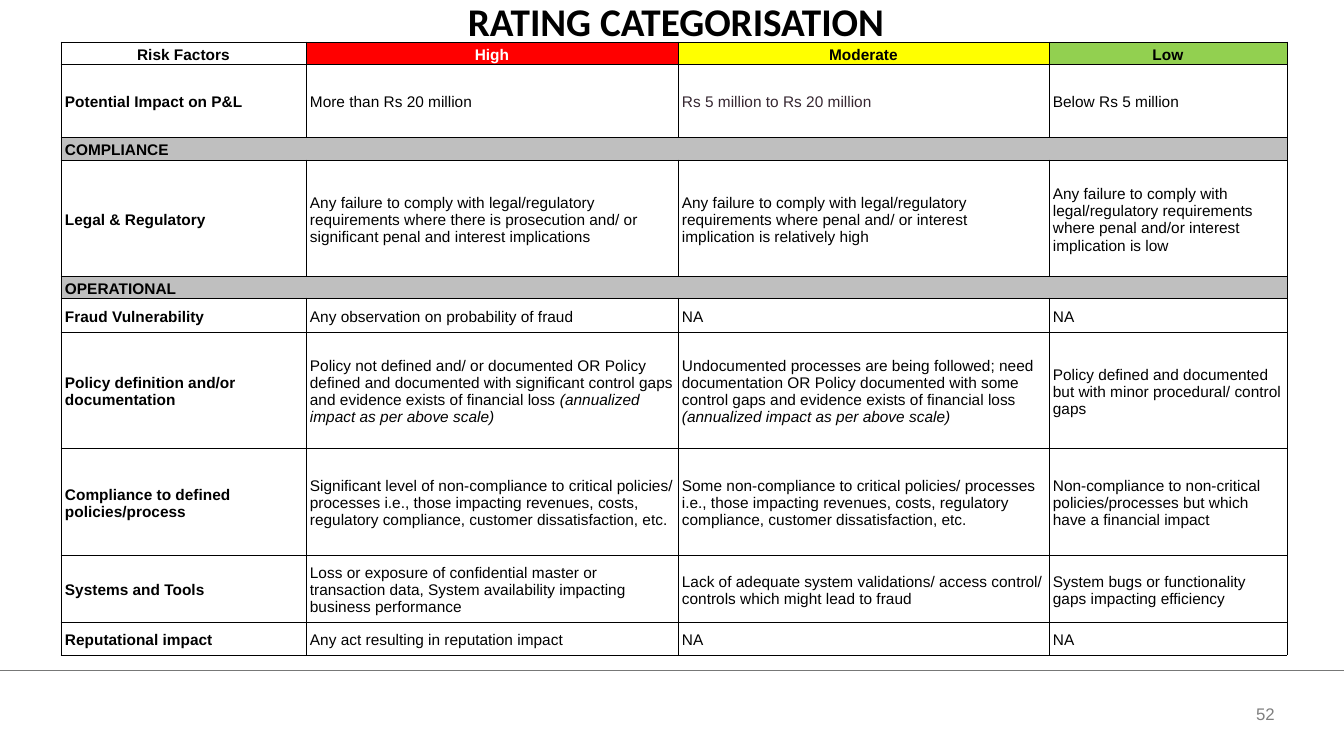
import pptx
import pptx.dml.color
import pptx.enum.shapes
import pptx.enum.text
import pptx.oxml
import pptx.oxml.ns
import pptx.util
from dataclasses import dataclass


@dataclass(frozen=True)
class Theme:
    """Colours, fonts and type sizes of the slide."""
    black: str = "000000"
    white: str = "FFFFFF"
    high: str = "FF0000"
    moderate: str = "FFFF00"
    low: str = "92D050"
    section: str = "BFBFBF"
    plum: str = "362731"
    rule: str = "777877"
    page: str = "808080"
    heading_font: str = "Calibri"
    body_font: str = "Arial"
    heading_size: int = 28
    table_size: int = 11
    page_size: int = 12
    line_width: float = 0.5


THEME = Theme()
ALIGN = pptx.enum.text.PP_ALIGN
MIDDLE = pptx.enum.text.MSO_ANCHOR.MIDDLE
SCALE = 914400 / 100.8
COLUMN_WIDTHS = [245, 372, 371, 238]
ROW_HEIGHTS = [22, 73, 23, 116, 22, 34, 116, 107, 67, 33]
HEADER_COLOURS = [(THEME.white, THEME.black), (THEME.high, THEME.white),
                  (THEME.moderate, THEME.black), (THEME.low, THEME.black)]
SCALE_NOTE = "(annualized impact as per above scale)"
RATINGS = [
    ["Risk Factors", "High", "Moderate", "Low"],
    ["Potential Impact on P&L", "More than Rs 20 million",
     "Rs 5 million to Rs 20 million", "Below Rs 5 million"],
    ["COMPLIANCE"],
    ["Legal & Regulatory",
     "Any failure to comply with legal/regulatory requirements where there is "
     "prosecution and/ or significant penal and interest implications",
     "Any failure to comply with legal/regulatory requirements where penal and/ or "
     "interest implication is relatively high",
     "Any failure to comply with legal/regulatory requirements where penal and/or "
     "interest implication is low"],
    ["OPERATIONAL"],
    ["Fraud Vulnerability", "Any observation on probability of fraud", "NA", "NA"],
    ["Policy definition and/or documentation",
     "Policy not defined and/ or documented OR Policy defined and documented with "
     "significant control gaps and evidence exists of financial loss " + SCALE_NOTE,
     "Undocumented processes are being followed; need documentation OR Policy "
     "documented with some control gaps and evidence exists of financial loss "
     + SCALE_NOTE,
     "Policy defined and documented but with minor procedural/ control gaps"],
    ["Compliance to defined policies/process",
     "Significant level of non-compliance to critical policies/ processes i.e., those "
     "impacting revenues, costs, regulatory compliance, customer dissatisfaction, etc.",
     "Some non-compliance to critical policies/ processes i.e., those impacting "
     "revenues, costs, regulatory compliance, customer dissatisfaction, etc.",
     "Non-compliance to non-critical policies/processes but which have a financial impact"],
    ["Systems and Tools",
     "Loss or exposure of confidential master or transaction data, System availability "
     "impacting business performance",
     "Lack of adequate system validations/ access control/ controls which might lead to fraud",
     "System bugs or functionality gaps impacting efficiency"],
    ["Reputational impact", "Any act resulting in reputation impact", "NA", "NA"],
]


def px(length):
    """Turn pixels into EMU."""
    return pptx.util.Emu(round(length * SCALE))


def rgb(colour):
    """Turn a hex string into a colour."""
    return pptx.dml.color.RGBColor.from_string(colour)


def set_font(font, name, size, colour, bold=False):
    """Set the face, size, colour and weight of a font."""
    font.name, font.size, font.bold = name, pptx.util.Pt(size), bold
    font.color.rgb = rgb(colour)


def add_heading(slide, box):
    """Move the title placeholder into the box and fill it."""
    heading = slide.shapes.title
    heading.left, heading.top, heading.width, heading.height = map(px, box)
    frame = heading.text_frame
    frame.vertical_anchor = pptx.enum.text.MSO_ANCHOR.TOP
    frame.auto_size = pptx.enum.text.MSO_AUTO_SIZE.NONE
    frame.text = "RATING CATEGORISATION"
    line = frame.paragraphs[0]
    line.alignment = ALIGN.CENTER
    set_font(line.font, THEME.heading_font, THEME.heading_size, THEME.black, True)


def add_borders(cell):
    """Draw a thin line on all four sides of a cell."""
    width = pptx.util.Pt(THEME.line_width)
    for side in "LRTB":
        cell._tc.get_or_add_tcPr().append(pptx.oxml.parse_xml(
            f'<a:ln{side} {pptx.oxml.ns.nsdecls("a")} w="{width}"><a:solidFill>'
            f'<a:srgbClr val="{THEME.black}"/></a:solidFill></a:ln{side}>'))


def fill_cell(cell, text, fill, colour, bold, alignment):
    """Write one cell, with the scale note in italics."""
    add_borders(cell)
    cell.fill.solid()
    cell.fill.fore_color.rgb = rgb(fill)
    cell.margin_left = cell.margin_right = cell.margin_top = px(4)
    cell.margin_bottom = 0
    cell.vertical_anchor = MIDDLE
    entry = cell.text_frame.paragraphs[0]
    entry.alignment = alignment
    set_font(entry.font, THEME.body_font, THEME.table_size, colour, bold)
    statement, note, _ = text.partition(SCALE_NOTE)
    if statement:
        entry.add_run().text = statement
    if note:
        note_run = entry.add_run()
        note_run.text = note
        note_run.font.italic = True


def add_ratings(slide, box):
    """Place the rating table in the box."""
    ratings = slide.shapes.add_table(
        len(ROW_HEIGHTS), len(COLUMN_WIDTHS), *map(px, box)).table
    for column, width in zip(ratings.columns, COLUMN_WIDTHS):
        column.width = px(width)
    for row, height in zip(ratings.rows, ROW_HEIGHTS):
        row.height = px(height)
    for r, entries in enumerate(RATINGS):
        is_section = len(entries) == 1
        for c in range(len(COLUMN_WIDTHS)):
            fill, colour = THEME.section if is_section else THEME.white, THEME.black
            if r == 0:
                fill, colour = HEADER_COLOURS[c]
            elif (r, c) == (1, 2):
                colour = THEME.plum
            fill_cell(ratings.cell(r, c), entries[c] if c < len(entries) else "",
                      fill, colour, r == 0 or c == 0,
                      ALIGN.CENTER if r == 0 else ALIGN.LEFT)
        if is_section:
            ratings.cell(r, 0).merge(ratings.cell(r, len(COLUMN_WIDTHS) - 1))


def add_footer(slide, box):
    """Draw the rule along the top of the box and the page number below it."""
    left, top, width, _ = box
    rule = slide.shapes.add_connector(
        pptx.enum.shapes.MSO_CONNECTOR.STRAIGHT,
        px(left), px(top), px(left + width), px(top))
    rule.line.color.rgb = rgb(THEME.rule)
    rule.line.width = pptx.util.Pt(THEME.line_width)
    rule._element.spPr.append(pptx.oxml.parse_xml(
        f'<a:effectLst {pptx.oxml.ns.nsdecls("a")}/>'))
    page = slide.shapes.add_textbox(
        px(left + width - 142), px(top + 24), px(127), px(40)).text_frame
    page.word_wrap = True
    page.vertical_anchor = MIDDLE
    page.text = "52"
    number = page.paragraphs[0]
    number.alignment = ALIGN.CENTER
    set_font(number.font, THEME.body_font, THEME.page_size, THEME.page)


def main():
    """Build the slide and save it."""
    deck = pptx.Presentation()
    deck.slide_width, deck.slide_height = px(1344), px(756)
    slide = deck.slides.add_slide(deck.slide_layouts[5])
    add_heading(slide, (277, -8, 798, 68))
    add_ratings(slide, (61, 42, sum(COLUMN_WIDTHS), sum(ROW_HEIGHTS)))
    add_footer(slide, (0, 670, 1344, 86))
    deck.save("out.pptx")


if __name__ == "__main__":
    main()
